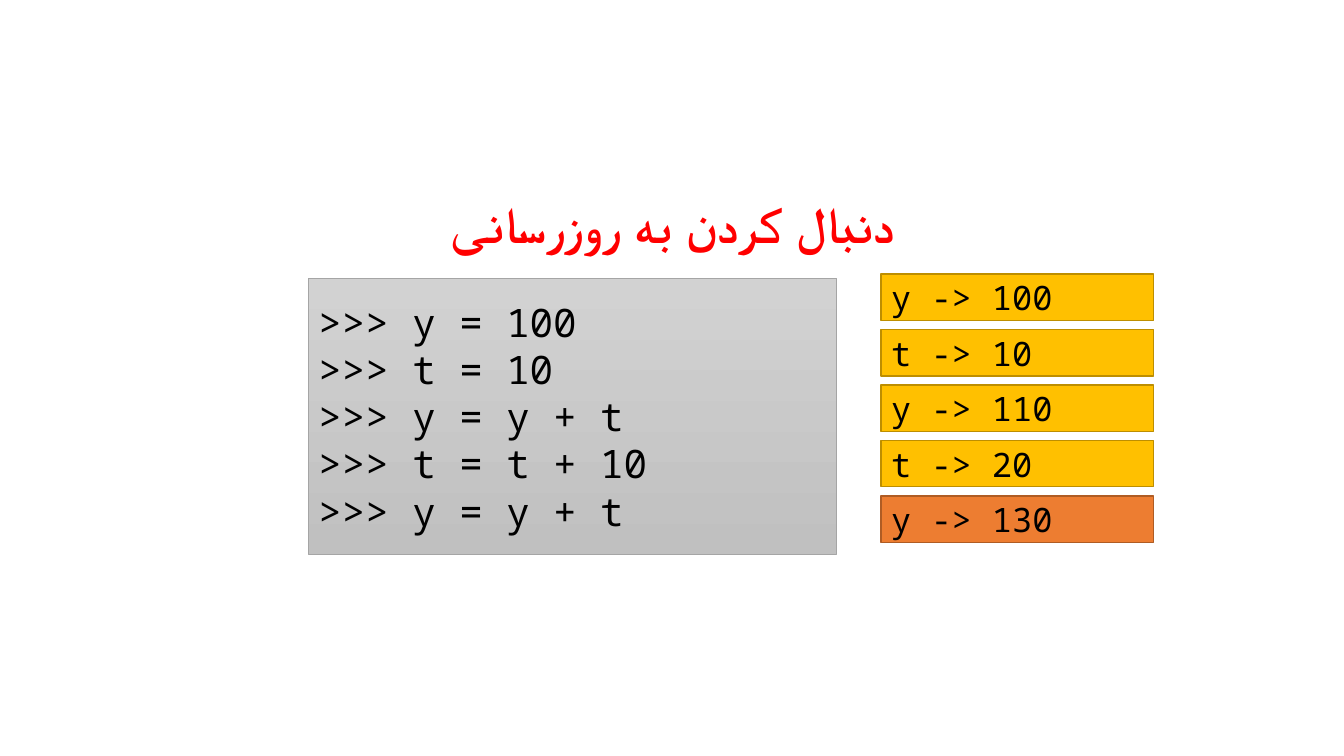
"""Builds a slide that traces variable updates in a Python session."""
import pptx
import pptx.dml.color
import pptx.enum.shapes
import pptx.enum.text
import pptx.util

Inches, Pt = pptx.util.Inches, pptx.util.Pt
ALIGN = pptx.enum.text.PP_ALIGN
ANCHOR = pptx.enum.text.MSO_ANCHOR

TITLE = "دنبال کردن به روزرسانی"
CODE = [">>> y = 100", ">>> t = 10", ">>> y = y + t", ">>> t = t + 10", ">>> y = y + t"]
AMBER, ORANGE = ("FFC000", "BD8E00"), ("ED7D31", "AF5C24")
STATES = [
    ("y -> 100", AMBER),
    ("t -> 10", AMBER),
    ("y -> 110", AMBER),
    ("t -> 20", AMBER),
    ("y -> 130", ORANGE),
]
STATE_LEFT, STATE_TOP, STATE_W, STATE_H, STATE_PITCH = 8.74, 2.72, 2.7, 0.46, 0.55


def rgb(value):
    return pptx.dml.color.RGBColor.from_string(value)


def write(sp, lines, size, font, color, anchor=ANCHOR.MIDDLE, align=ALIGN.LEFT, bold=False):
    tf = sp.text_frame
    tf.word_wrap = True
    tf.vertical_anchor = anchor
    tf.text = "\n".join(lines)
    for p in tf.paragraphs:
        p.alignment = align
        p.font.size = Pt(size)
        p.font.name = font
        p.font.bold = bold
        p.font.color.rgb = rgb(color)
    return tf


def add_box(slide, left, top, width, height, line, line_width):
    sp = slide.shapes.add_shape(
        pptx.enum.shapes.MSO_SHAPE.RECTANGLE,
        Inches(left), Inches(top), Inches(width), Inches(height))
    sp.shadow.inherit = False
    sp.line.color.rgb = rgb(line)
    sp.line.width = Pt(line_width)
    return sp


def main():
    prs = pptx.Presentation()
    prs.slide_width, prs.slide_height = Inches(13.33), Inches(7.5)
    slide = prs.slides.add_slide(prs.slide_layouts[6])

    title = slide.shapes.add_textbox(Inches(2.47), Inches(1.83), Inches(8.4), Inches(0.74))
    tf = write(title, [TITLE], 36, "Calibri", "FF0000", ANCHOR.BOTTOM, ALIGN.CENTER, True)
    p = tf.paragraphs[0]
    p.line_spacing = 0.9
    p._p.get_or_add_pPr().set("rtl", "1")

    code = add_box(slide, 3.06, 2.76, 5.24, 2.74, "A5A5A5", 0.5)
    code.fill.gradient()
    code.fill.gradient_angle = 270
    for stop, color in zip(code.fill.gradient_stops, ("D2D2D2", "C0C0C0")):
        stop.color.rgb = rgb(color)
    for stop, position in zip(code.fill.gradient_stops, (0, 1)):
        stop.position = position
    write(code, CODE, 28, "Noto Sans Mono", "000000")

    for i, (text, (fill, line)) in enumerate(STATES):
        state = add_box(slide, STATE_LEFT, STATE_TOP + i * STATE_PITCH, STATE_W, STATE_H, line, 1)
        state.fill.solid()
        state.fill.fore_color.rgb = rgb(fill)
        write(state, [text], 24, "Noto Sans Mono", "000000")

    prs.save("out.pptx")


if __name__ == "__main__":
    main()
